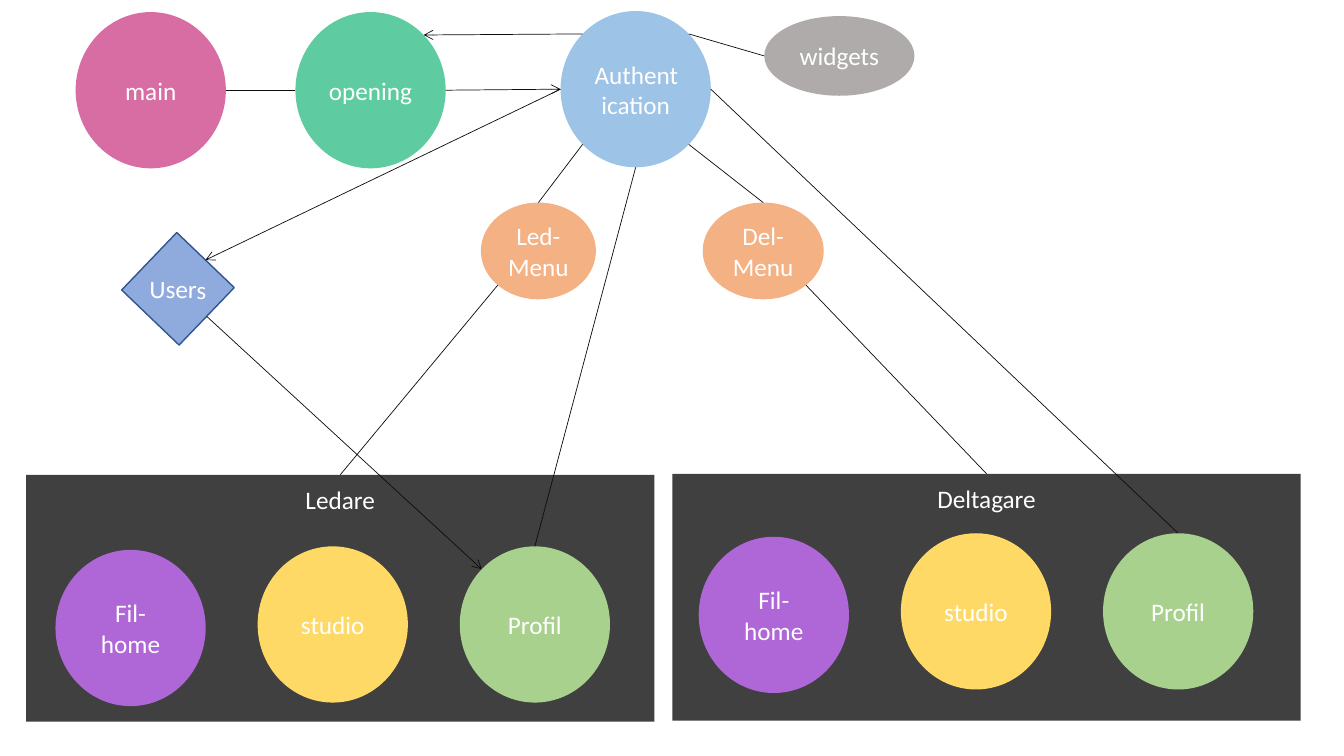
from math import cos, radians, sin

from lxml.etree import SubElement
from pptx import Presentation
from pptx.dml.color import RGBColor
from pptx.enum.shapes import MSO_CONNECTOR, MSO_SHAPE
from pptx.enum.text import MSO_ANCHOR, PP_ALIGN
from pptx.oxml.ns import qn
from pptx.util import Inches, Pt

WHITE = RGBColor(0xFF, 0xFF, 0xFF)
INK = RGBColor(0x0D, 0x0D, 0x0D)
CHARCOAL = RGBColor(0x40, 0x40, 0x40)
PURPLE = RGBColor(0xAF, 0x66, 0xD6)
YELLOW = RGBColor(0xFF, 0xD9, 0x66)
GREEN = RGBColor(0xA9, 0xD1, 0x8E)
MINT = RGBColor(0x5E, 0xCC, 0xA0)
PINK = RGBColor(0xD7, 0x6D, 0xA2)
SKY = RGBColor(0x9D, 0xC3, 0xE6)
GRAY = RGBColor(0xAF, 0xAB, 0xAB)
ORANGE = RGBColor(0xF4, 0xB1, 0x83)
BLUE = RGBColor(0x8F, 0xAA, 0xDC)
NAVY = RGBColor(0x32, 0x54, 0x91)

# Square grid: one column or row is a tenth of an inch
CELL = Inches(0.1)
CIRCLE_W, CIRCLE_H = 14.9, 15.5
TILT = 43.8

prs = Presentation()
prs.slide_width, prs.slide_height = Inches(13.33), Inches(7.5)
s = prs.slides.add_slide(prs.slide_layouts[6])


def add_node(kind, text, x, y, w, h, color):
    sp = s.shapes.add_shape(kind, *(round(v * CELL) for v in (x, y, w, h)))
    sp.shadow.inherit = False
    sp.fill.solid()
    sp.fill.fore_color.rgb = color
    sp.line.fill.background()
    tf = sp.text_frame
    tf.word_wrap = True
    tf.vertical_anchor = MSO_ANCHOR.MIDDLE
    tf.text = text
    p = tf.paragraphs[0]
    p.alignment = PP_ALIGN.CENTER
    font = p.runs[0].font
    font.name, font.size, font.color.rgb = "Calibri", Pt(18), WHITE
    return sp


def edge_point(sp, angle):
    """Point on the outline, in degrees clockwise from the right."""
    a = radians(angle)
    return (round(sp.left + sp.width / 2 * (1 + cos(a))),
            round(sp.top + sp.height / 2 * (1 + sin(a))))


nodes = {}

# Dark panels with a title and three circles each
for title, x, y, circle_x, circle_y in [("Deltagare", 66.7, 47, 69.3, 52.9),
                                        ("Ledare", 2.6, 47.1, 5.5, 54.2)]:
    panel = add_node(MSO_SHAPE.RECTANGLE, title, x, y, 62.3, 24.5, CHARCOAL)
    panel.text_frame.margin_top = 0
    panel.text_frame.margin_bottom = round(19.7 * CELL)
    nodes[title] = panel
    for i, (text, drop, color) in enumerate([("Fil- home", 0.35, PURPLE),
                                             ("studio", 0, YELLOW),
                                             ("Profil", 0, GREEN)]):
        nodes[title, text] = add_node(MSO_SHAPE.OVAL, text, circle_x + 20.05 * i,
                                      circle_y + drop, CIRCLE_W, CIRCLE_H, color)

# Top row and the two menus
for key, text, x, y, w, h, color in [
    ("opening", "opening", 29.3, 1.2, CIRCLE_W, CIRCLE_H, MINT),
    ("main", "main", 7.5, 1.2, CIRCLE_W, CIRCLE_H, PINK),
    ("auth", "Authentication", 55.6, 1.1, CIRCLE_W, CIRCLE_H, SKY),
    ("widgets", "widgets", 75.8, 1.6, CIRCLE_W, 7.9, GRAY),
    ("led", "Led-Menu", 47.7, 20.1, 11.4, 9.6, ORANGE),
    ("del", "Del-Menu", 69.7, 20.1, 12, 9.6, ORANGE),
]:
    nodes[key] = add_node(MSO_SHAPE.OVAL, text, x, y, w, h, color)

# Tilted users square, its text kept upright
users = add_node(MSO_SHAPE.RECTANGLE, "Users", 13.7, 24.7, 7.9, 7.9, BLUE)
users.rotation = TILT
users.line.color.rgb = NAVY
users.line.width = Pt(1)
users.text_frame._txBody.bodyPr.set("rot", str(round(-TILT * 60000)))
nodes["users"] = users

# Links: start, angle, end, angle, arrowhead at end
for start, start_angle, end, end_angle, arrow in [
    ("led", 135, "Ledare", -90, False),
    ("Deltagare", -90, "del", 45, False),
    ("opening", 180, "main", 0, False),
    ("opening", 0, "auth", 180, True),
    ("auth", -45, "widgets", 180, False),
    ("auth", -135, "opening", -45, True),
    ("led", -90, "auth", 135, False),
    ("del", -90, "auth", 45, False),
    (("Ledare", "Profil"), -90, "auth", 90, False),
    (("Deltagare", "Profil"), -90, "auth", 0, False),
    ("auth", 180, "users", TILT - 90, True),
    ("users", TILT, ("Ledare", "Profil"), -135, True),
]:
    link = s.shapes.add_connector(MSO_CONNECTOR.STRAIGHT,
                                  *edge_point(nodes[start], start_angle),
                                  *edge_point(nodes[end], end_angle))
    link.line.color.rgb = INK
    link.line.width = Pt(0.5)
    if arrow:
        SubElement(link.line._get_or_add_ln(), qn("a:tailEnd"), type="arrow")
    SubElement(link._element.spPr, qn("a:effectLst"))

prs.save("out.pptx")
